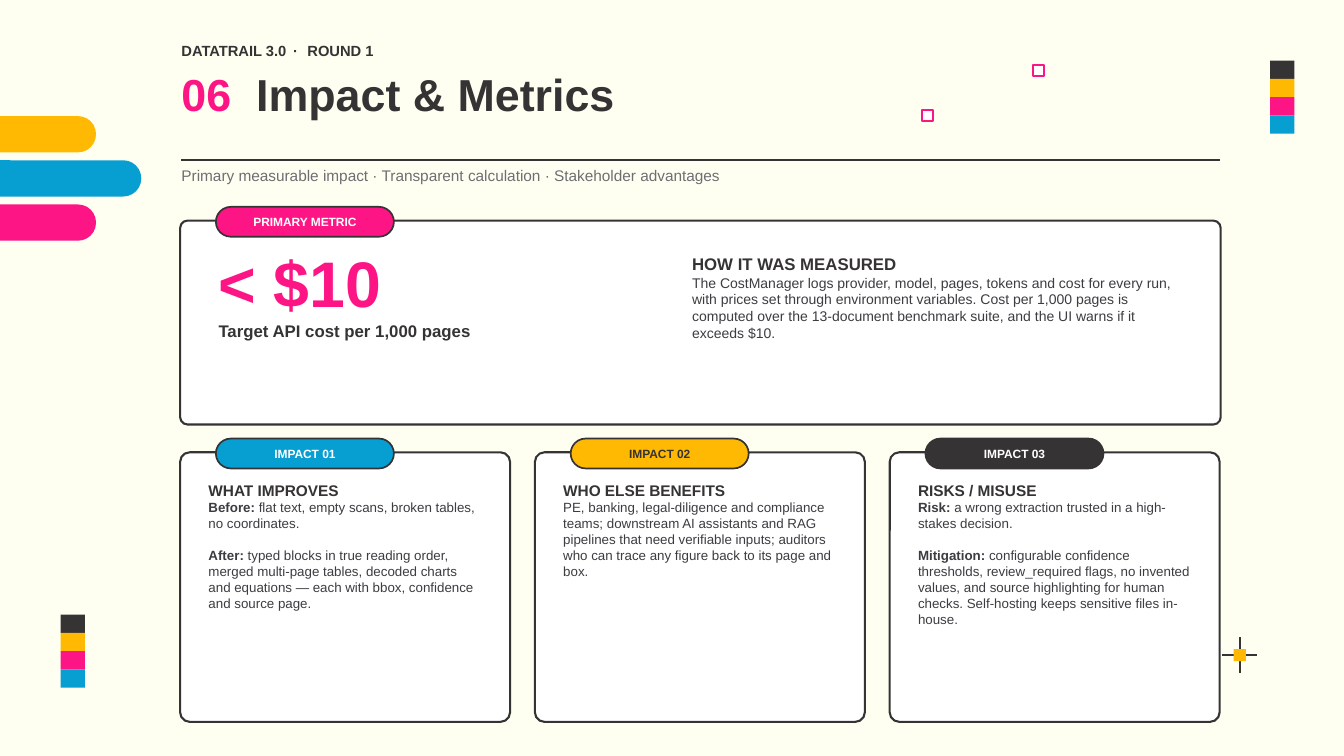
"""Build the Impact & Metrics slide."""
from dataclasses import dataclass

from pptx import Presentation
from pptx.dml.color import RGBColor as Rgb
from pptx.enum.shapes import MSO_CONNECTOR as Link, MSO_SHAPE as Kind
from pptx.enum.text import MSO_ANCHOR as Anchor, MSO_AUTO_SIZE as Fit, PP_ALIGN as Align
from pptx.oxml.ns import qn
from pptx.shapes.autoshape import Shape
from pptx.slide import Slide
from pptx.text.text import TextFrame
from pptx.util import Cm, Pt


@dataclass(frozen=True)
class Theme:
    """Colours, font and type sizes."""
    font: str = "Arial"
    page: str = "FFFFF1"
    white: str = "FFFFFF"
    ink: str = "353334"
    body: str = "3C3C41"
    grey: str = "6E6E73"
    gold: str = "FFB903"
    blue: str = "079ED2"
    pink: str = "FD1485"
    hero: float = 69
    title: float = 48
    lead: float = 18
    head: float = 16.5
    kicker: float = 15.75
    text: float = 15
    small: float = 14.25
    tab: float = 12.75
    leading: float = 1.2


T = Theme()


@dataclass(frozen=True)
class Box:
    """Place and size in centimetres."""
    x: float
    y: float
    w: float
    h: float

    def emu(self) -> tuple[Cm, Cm, Cm, Cm]:
        """Give the four lengths."""
        return Cm(self.x), Cm(self.y), Cm(self.w), Cm(self.h)


@dataclass(frozen=True)
class Bit:
    """A run of text; gap is added letter spacing in points."""
    text: str
    color: str = T.body
    bold: bool = False
    gap: float = 0


@dataclass(frozen=True)
class Para:
    """A paragraph of runs in one size."""
    size: float
    bits: tuple[Bit, ...]
    before: float = 0


@dataclass(frozen=True)
class Card:
    """A white panel with a coloured tab."""
    box: Box
    radius: float
    tab: str
    fill: str
    color: str = T.white


def line(size: float, text: str, color: str = T.ink, bold: bool = True) -> Para:
    """Make a paragraph of one run."""
    return Para(size, (Bit(text, color, bold),))


def pair(label: str, text: str, before: float = 0) -> Para:
    """Make a small paragraph with a bold label."""
    return Para(T.small, (Bit(label, bold=True), Bit(text)), before)


def write(frame: TextFrame, paras: list[Para], align: Align = Align.LEFT,
          anchor: Anchor = Anchor.TOP, inset: float = 0) -> None:
    """Fill a text frame with paragraphs."""
    frame.word_wrap = True
    frame.auto_size = Fit.NONE
    frame.vertical_anchor = anchor
    frame.margin_left = frame.margin_right = Cm(inset)
    frame.margin_top = frame.margin_bottom = Cm(inset)
    for i, para in enumerate(paras):
        par = frame.add_paragraph() if i else frame.paragraphs[0]
        par.alignment = align
        par.line_spacing = Pt(para.size * T.leading)
        par.space_before = Pt(para.before)
        for bit in para.bits:
            run = par.add_run()
            run.text = bit.text
            run.font.name = T.font
            run.font.size = Pt(para.size)
            run.font.bold = bit.bold
            run.font.color.rgb = Rgb.from_string(bit.color)
            if bit.gap:
                run.font._element.set("spc", str(round(bit.gap * 100)))


def note(slide: Slide, box: Box, *paras: Para) -> None:
    """Add a text box."""
    write(slide.shapes.add_textbox(*box.emu()).text_frame, list(paras))


def block(slide: Slide, box: Box, fill: str, edge: str = "", width: float = 0,
          radius: float = 0) -> Shape:
    """Add a plain or rounded rectangle."""
    kind = Kind.ROUNDED_RECTANGLE if radius else Kind.RECTANGLE
    shape = slide.shapes.add_shape(kind, *box.emu())
    shape.shadow.inherit = False
    if radius:
        shape.adjustments[0] = radius / min(box.w, box.h)
    shape.fill.solid()
    shape.fill.fore_color.rgb = Rgb.from_string(fill)
    if edge:
        shape.line.color.rgb = Rgb.from_string(edge)
        shape.line.width = Pt(width)
    else:
        shape.line.fill.background()
    return shape


def stroke(slide: Slide, x: float, y: float, dx: float, dy: float) -> None:
    """Add a straight dark line."""
    link = slide.shapes.add_connector(Link.STRAIGHT, Cm(x), Cm(y), Cm(x + dx), Cm(y + dy))
    link.line.color.rgb = Rgb.from_string(T.ink)
    link.line.width = Pt(2.25)
    props = link._element.spPr
    props.append(props.makeelement(qn("a:effectLst"), {}))


def panel(slide: Slide, card: Card) -> None:
    """Draw a card and its tab."""
    block(slide, card.box, T.white, T.ink, 2.25, card.radius)
    spot = Box(card.box.x + 1.35, card.box.y - 0.52, 6.73, 1.13)
    tab = block(slide, spot, card.fill, T.ink, 1.8, spot.h / 2)
    write(tab.text_frame, [line(T.tab, card.tab, card.color)], Align.CENTER, Anchor.MIDDLE, 0.15)


def decor(slide: Slide) -> None:
    """Draw the bands, swatches, cross and small squares."""
    for i, (wide, fill) in enumerate(((4.39, T.gold), (6.1, T.blue), (4.39, T.pink))):
        block(slide, Box(-0.76, 4.39 + i * 1.67, wide, 1.37), fill, radius=0.68)
    for x, y in ((48.01, 2.29), (2.29, 23.24)):
        for i, fill in enumerate((T.ink, T.gold, T.pink, T.blue)):
            block(slide, Box(x, y + i * 0.69, 0.92, 0.69), fill)
    x, y, arm, half = 46.86, 24.77, 0.67, 0.23
    stroke(slide, x - arm, y, 2 * arm, 0)
    stroke(slide, x, y - arm, 0, 2 * arm)
    block(slide, Box(x - half, y - half, 2 * half, 2 * half), T.gold)
    for x, y in ((34.85, 4.17), (39.04, 2.46)):
        block(slide, Box(x, y, 0.41, 0.41), T.white, T.pink, 2.1)


def header(slide: Slide) -> None:
    """Write the kicker, title, rule and subtitle."""
    left = 6.86
    note(slide, Box(left, 1.57, 34.29, 1.17), Para(T.kicker, (
        Bit("DATATRAIL 3.0", T.ink, True), Bit(" · ", T.ink, True, 2.9),
        Bit("ROUND 1", T.ink, True))))
    title = slide.shapes.title
    title.left, title.top, title.width, title.height = Box(left, 2.54, 38.1, 3.3).emu()
    write(title.text_frame, [Para(T.title, (
        Bit("06", T.pink, True), Bit(" ", T.pink, True, 13.3),
        Bit("Impact & Metrics", T.ink, True)))])
    stroke(slide, left, 6.06, 39.24, 0)
    note(slide, Box(left, 6.27, 39.24, 1.4), line(
        T.head, "Primary measurable impact · Transparent calculation · Stakeholder advantages",
        T.grey, False))


def metric(slide: Slide) -> None:
    """Draw the primary metric card."""
    panel(slide, Card(Box(6.81, 8.34, 39.33, 7.71), 0.28, "PRIMARY METRIC", T.pink))
    note(slide, Box(8.26, 9.2, 16.64, 5.54), line(T.hero, "< $10", T.pink),
         line(T.lead, "Target API cost per 1,000 pages"))
    note(slide, Box(26.16, 9.6, 18.54, 5.13), line(T.lead, "HOW IT WAS MEASURED"), line(
        T.text, "The CostManager logs provider, model, pages, tokens and cost for every run, "
        "with prices set through environment variables. Cost per 1,000 pages is computed over "
        "the 13-document benchmark suite, and the UI warns if it exceeds $10.", T.body, False))


def impacts(slide: Slide) -> None:
    """Draw the three impact cards."""
    skip = T.small * T.leading
    rows = (
        (T.blue, T.white, "WHAT IMPROVES", (
            pair("Before: ", "flat text, empty scans, broken tables, no coordinates."),
            pair("After: ", "typed blocks in true reading order, merged multi-page tables, decoded "
                 "charts and equations — each with bbox, confidence and source page.", skip))),
        (T.gold, T.ink, "WHO ELSE BENEFITS", (
            line(T.small, "PE, banking, legal-diligence and compliance teams; downstream AI "
                 "assistants and RAG pipelines that need verifiable inputs; auditors who can trace "
                 "any figure back to its page and box.", T.body, False),)),
        (T.ink, T.white, "RISKS / MISUSE", (
            pair("Risk: ", "a wrong extraction trusted in a high-stakes decision."),
            pair("Mitigation: ", "configurable confidence thresholds, review_required flags, no "
                 "invented values, and source highlighting for human checks. Self-hosting keeps "
                 "sensitive files in-house.", skip))),
    )
    for i, (fill, color, head, paras) in enumerate(rows):
        box = Box(6.81 + i * 13.41, 17.1, 12.47, 10.19)
        panel(slide, Card(box, 0.36, f"IMPACT {i + 1:02}", fill, color))
        note(slide, Box(box.x + 1.07, box.y + 1.07, 10.36, 8.38), line(T.head, head), *paras)


def main() -> None:
    """Build and save the deck."""
    deck = Presentation()
    deck.slide_width, deck.slide_height = Cm(50.8), Cm(28.58)
    slide = deck.slides.add_slide(deck.slide_layouts[5])
    back = slide.background.fill
    back.solid()
    back.fore_color.rgb = Rgb.from_string(T.page)
    for part in (decor, header, metric, impacts):
        part(slide)
    deck.save("out.pptx")


if __name__ == "__main__":
    main()
